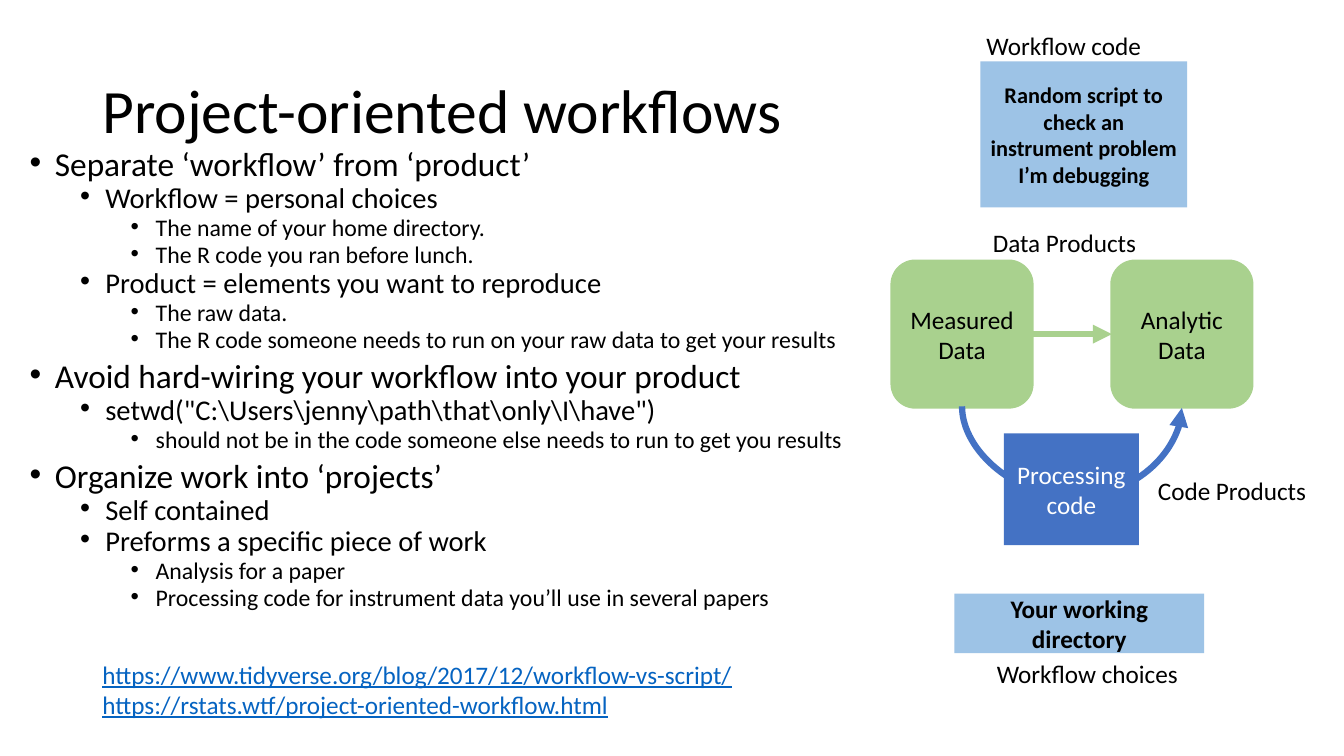
from lxml import etree
from pptx import Presentation
from pptx.dml.color import RGBColor
from pptx.enum.shapes import MSO_CONNECTOR, MSO_SHAPE
from pptx.enum.text import MSO_ANCHOR, PP_ALIGN
from pptx.oxml.ns import qn
from pptx.util import Cm, Pt

RECT, ROUND = MSO_SHAPE.RECTANGLE, MSO_SHAPE.ROUNDED_RECTANGLE
STRAIGHT, CURVE = MSO_CONNECTOR.STRAIGHT, MSO_CONNECTOR.CURVE
LEFT, CENTER = PP_ALIGN.LEFT, PP_ALIGN.CENTER
TOP, MIDDLE = MSO_ANCHOR.TOP, MSO_ANCHOR.MIDDLE

BLACK = RGBColor(0x00, 0x00, 0x00)
WHITE = RGBColor(0xFF, 0xFF, 0xFF)
GREEN = RGBColor(0xA9, 0xD1, 0x8E)
BLUE = RGBColor(0x44, 0x72, 0xC4)
PALE_BLUE = RGBColor(0x9D, 0xC3, 0xE6)
LINK_BLUE = RGBColor(0x05, 0x63, 0xC1)

TITLE = "Project-oriented workflows"
OUTLINE = [
    (0, "Separate ‘workflow’ from ‘product’"),
    (1, "Workflow = personal choices"),
    (2, "The name of your home directory."),
    (2, "The R code you ran before lunch."),
    (1, "Product = elements you want to reproduce"),
    (2, "The raw data."),
    (2, "The R code someone needs to run on your raw data to get your results"),
    (0, "Avoid hard-wiring your workflow into your product"),
    (1, 'setwd("C:\\Users\\jenny\\path\\that\\only\\I\\have")'),
    (2, "should not be in the code someone else needs to run to get you results"),
    (0, "Organize work into ‘projects’"),
    (1, "Self contained"),
    (1, "Preforms a specific piece of work"),
    (2, "Analysis for a paper"),
    (2, "Processing code for instrument data you’ll use in several papers"),
]
LEVELS = [
    {"size": 23.8, "before": 10},
    {"size": 20.4, "before": 5},
    {"size": 17, "before": 5},
]
LINKS = [
    "https://www.tidyverse.org/blog/2017/12/workflow-vs-script/",
    "https://rstats.wtf/project-oriented-workflow.html",
]
DATA_BOXES = ["Measured Data", "Analytic Data"]
CODE_BOXES = [
    ("Processing code", 25.3, 10.92, 3.4, 2.82, BLUE, {"color": WHITE}),
    ("Your working directory", 24.05, 14.96, 6.3, 1.5, PALE_BLUE, {"bold": True}),
    ("Random script to check an instrument problem I’m debugging",
     24.71, 1.55, 5.21, 3.68, PALE_BLUE, {"bold": True, "size": 16}),
]
LABELS = [
    ("Workflow code", 24.61, 0.64, 6.02),
    ("Workflow choices", 24.87, 16.46, 6.02),
    ("Data Products", 24.77, 5.61, 4.27),
    ("Code Products", 28.93, 11.86, 6.02),
]
DATA_X, DATA_Y, DATA_W, DATA_H, DATA_STEP = 22.48, 6.58, 3.53, 3.68, 5.54
CURVE_RISE, CURVE_DEPTH = 0.04, 2.28
INDENT = 0.635


def write(p, text, size=18, color=BLACK, **font):
    r = p.add_run()
    r.text = text
    r.font.color.rgb = color
    for name, value in {"name": "Calibri", "size": Pt(size), **font}.items():
        setattr(r.font, name, value)


def add_text(x, y, w, h, lines, **font):
    tf = slide.shapes.add_textbox(Cm(x), Cm(y), Cm(w), Cm(h)).text_frame
    tf.word_wrap = True
    for i, line in enumerate(lines):
        write(tf.add_paragraph() if i else tf.paragraphs[0], line, **font)


def add_box(kind, text, x, y, w, h, fill, **font):
    sp = slide.shapes.add_shape(kind, Cm(x), Cm(y), Cm(w), Cm(h))
    sp.shadow.inherit = False
    sp.fill.solid()
    sp.fill.fore_color.rgb = fill
    sp.line.fill.background()
    tf = sp.text_frame
    tf.word_wrap = True
    tf.vertical_anchor = MIDDLE
    tf.paragraphs[0].alignment = CENTER
    write(tf.paragraphs[0], text, **font)
    return sp


def add_arrow(kind, x1, y1, x2, y2, color):
    cxn = slide.shapes.add_connector(kind, Cm(x1), Cm(y1), Cm(x2), Cm(y2))
    cxn.line.color.rgb = color
    cxn.line.width = Pt(4.5)
    etree.SubElement(cxn.line._get_or_add_ln(), qn("a:tailEnd"), type="triangle")
    etree.SubElement(cxn._element.spPr, qn("a:effectLst"))
    return cxn


def add_outline(x, y, w, h):
    tf = slide.shapes.add_textbox(Cm(x), Cm(y), Cm(w), Cm(h)).text_frame
    tf.word_wrap = True
    tf.vertical_anchor = TOP
    for i, (level, text) in enumerate(OUTLINE):
        p = tf.add_paragraph() if i else tf.paragraphs[0]
        p.level = level
        p.line_spacing = 0.7
        p.space_before = Pt(LEVELS[level]["before"])
        pPr = p._p.get_or_add_pPr()
        pPr.set("marL", str(Cm(INDENT * (1 + 2 * level))))
        pPr.set("indent", str(-Cm(INDENT)))
        etree.SubElement(pPr, qn("a:buFont"), typeface="Arial")
        etree.SubElement(pPr, qn("a:buChar"), char="•")
        write(p, text, LEVELS[level]["size"])


def add_data_flow():
    boxes = []
    for i, text in enumerate(DATA_BOXES):
        sp = add_box(ROUND, text, DATA_X + i * DATA_STEP, DATA_Y, DATA_W, DATA_H, GREEN)
        sp.line.color.rgb = GREEN
        sp.line.width = Pt(2.25)
        boxes.append(sp)
    mid_y = DATA_Y + DATA_H / 2
    cxn = add_arrow(STRAIGHT, DATA_X + DATA_W, mid_y, DATA_X + DATA_STEP, mid_y, GREEN)
    cxn.begin_connect(boxes[0], 3)
    cxn.end_connect(boxes[1], 1)

    mid_x = DATA_X + (DATA_W + DATA_STEP) / 2
    x, y = mid_x - CURVE_RISE / 2, DATA_Y + DATA_H - DATA_STEP / 2
    curve = add_arrow(CURVE, x, y, x + CURVE_RISE, y + DATA_STEP, BLUE)
    spPr = curve._element.spPr
    spPr.find(qn("a:xfrm")).set("rot", "16200000")
    spPr.find(qn("a:xfrm")).set("flipH", "1")
    depth = round(CURVE_DEPTH / CURVE_RISE * 100000)
    guides = spPr.find(qn("a:prstGeom")).find(qn("a:avLst"))
    etree.SubElement(guides, qn("a:gd"), name="adj1", fmla=f"val {depth}")


prs = Presentation()
prs.slide_width, prs.slide_height = Cm(33.87), Cm(19.05)
slide = prs.slides.add_slide(prs.slide_layouts[5])

title = slide.shapes.title
place = {"left": 2.33, "top": 1.01, "width": 29.21, "height": 3.68}
for name, value in place.items():
    setattr(title, name, Cm(value))
title.text_frame.vertical_anchor = MIDDLE
p = title.text_frame.paragraphs[0]
p.alignment = LEFT
p.line_spacing = 0.9
write(p, TITLE, 44)

add_outline(0.5, 3.76, 21.1, 11.94)
add_data_flow()
for text, x, y, w, h, fill, font in CODE_BOXES:
    add_box(RECT, text, x, y, w, h, fill, **font)
add_text(2.33, 16.48, 17, 2, LINKS, color=LINK_BLUE, underline=True)
for text, x, y, w in LABELS:
    add_text(x, y, w, 1.02, [text])

prs.save("out.pptx")
